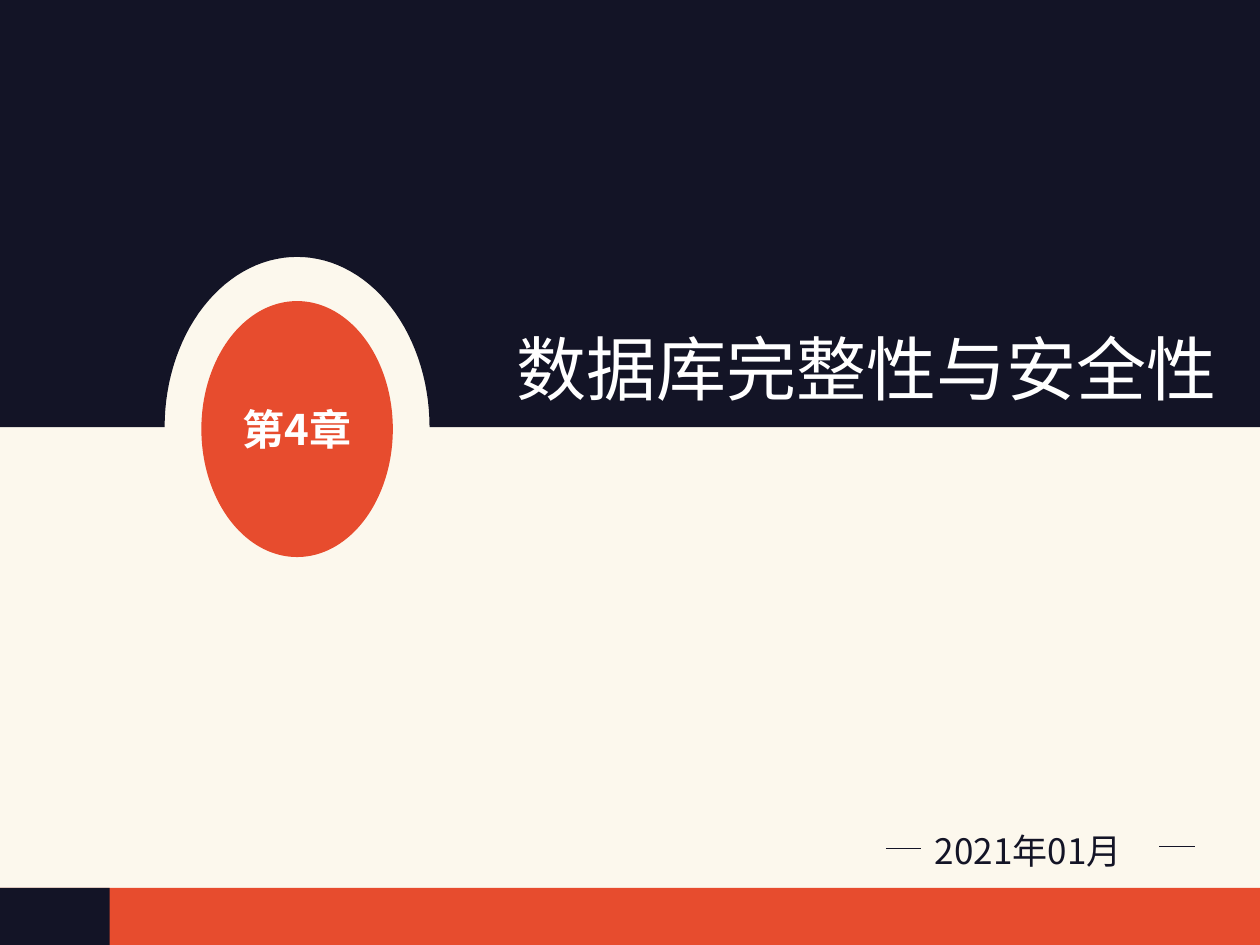
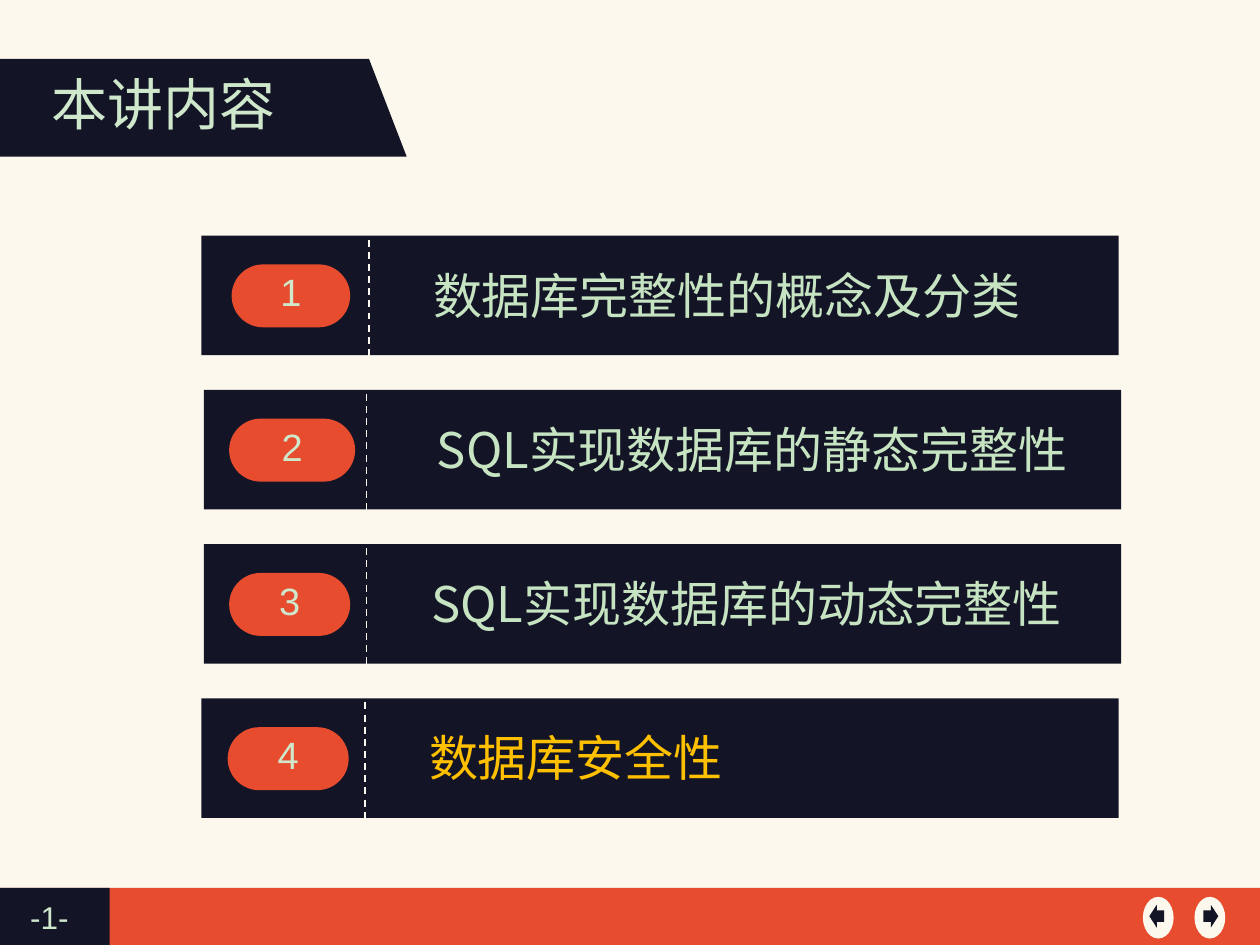
from math import cos, pi, sin

from pptx import Presentation
from pptx.dml.color import RGBColor
from pptx.enum.dml import MSO_LINE
from pptx.enum.shapes import MSO_CONNECTOR, MSO_SHAPE as Kind
from pptx.enum.text import MSO_ANCHOR as Anchor, MSO_AUTO_SIZE as Fit, PP_ALIGN as Align
from pptx.oxml.xmlchemy import OxmlElement as Node
from pptx.util import Cm, Pt

WIDE, HIGH = 25.4, 19.05
CREAM, NAVY, RED = "FCF8ED", "131426", "E74C2E"
MINT, LEAF, GOLD, WHITE = "CFE8CC", "C6E4C2", "FFC000", "FFFFFF"
HAN, LATIN = "Noto Sans CJK SC", "Arial"
FOOT = (0, 17.9, WIDE, 1.15)

ROWS = [
    ("1", "数据库完整性的概念及分类", LEAF, 4.06, 0.61, 2.39, 3.38, 4.42),
    ("2", "SQL实现数据库的静态完整性", LEAF, 4.11, 0.51, 2.54, 3.28, 4.45),
    ("3", "SQL实现数据库的动态完整性", LEAF, 4.11, 0.51, 2.44, 3.28, 4.34),
    ("4", "数据库安全性", GOLD, 4.06, 0.53, 2.44, 3.3, 4.34),
]


def tint(code):
    return RGBColor.from_string(code)


def write(shape, text, size, color, font=HAN, align=Align.LEFT,
          anchor=Anchor.TOP, bold=False, space=1.0):
    frame = shape.text_frame
    frame.word_wrap = True
    frame.auto_size = Fit.NONE
    frame.vertical_anchor = anchor
    para = frame.paragraphs[0]
    para.alignment = align
    para.line_spacing = space
    para.space_before = Pt(0)
    run = para.add_run()
    run.text = text
    run.font.size = Pt(size)
    run.font.bold = bold
    run.font.color.rgb = tint(color)
    run.font.name = font
    east = Node("a:ea")
    east.set("typeface", font)
    run.font._element.append(east)


def paint(shape, color):
    shape.shadow.inherit = False
    shape.fill.solid()
    shape.fill.fore_color.rgb = tint(color)
    shape.line.fill.background()
    return shape


def block(slide, kind, box, color):
    return paint(slide.shapes.add_shape(kind, *map(Cm, box)), color)


def label(slide, box, *args, **style):
    write(slide.shapes.add_textbox(*map(Cm, box)), *args, **style)


def rule(slide, start, end, color, width, dash=None):
    line = slide.shapes.add_connector(MSO_CONNECTOR.STRAIGHT, *map(Cm, start + end))
    line.line.color.rgb = tint(color)
    line.line.width = Pt(width)
    if dash:
        line.line.dash_style = dash
    line._element.spPr.append(Node("a:effectLst"))


def place(holder, box, *args, **style):
    holder.left, holder.top, holder.width, holder.height = map(Cm, box)
    holder.element.getparent().append(holder.element)
    write(holder, *args, **style)


def base(deck, layout):
    slide = deck.slides.add_slide(deck.slide_layouts[layout])
    slide.background.fill.solid()
    slide.background.fill.fore_color.rgb = tint(CREAM)
    left, top, width, height = FOOT
    block(slide, Kind.RECTANGLE, FOOT, RED)
    block(slide, Kind.RECTANGLE, (left, top, 2.21, height), NAVY)
    return slide


def arch(slide, box):
    left, top, width, height = box
    base_y, mid = top + height, left + 5.99
    steps = 60
    curve = [(mid + 2.67 * cos(pi * i / steps), base_y - 3.43 * sin(pi * i / steps))
             for i in range(steps + 1)]
    points = [(left + width, top), (left + width, base_y), *curve, (left, base_y)]
    path = slide.shapes.build_freeform(Cm(left), Cm(top))
    path.add_line_segments([(Cm(x), Cm(y)) for x, y in points])
    paint(path.convert_to_shape(), NAVY)
    badge = block(slide, Kind.OVAL, (mid - 1.93, base_y - 2.54, 3.86, 5.16), RED)
    write(badge, "第4章", 24, WHITE, align=Align.CENTER, anchor=Anchor.MIDDLE, bold=True)


def date(slide, box):
    left, top, width, height = box
    place(slide.placeholders[1], (left + 0.73, top, 5.08, height), "2021年01月", 20, NAVY)
    for start, drop in ((left, 0.51), (left + width - 0.71, 0.48)):
        rule(slide, (start, top + drop), (start + 0.71, top + drop), NAVY, 0.5)


def cover(deck):
    slide = base(deck, 0)
    arch(slide, (0, 0, WIDE, 8.61))
    date(slide, (17.86, 16.59, 6.22, 1.3))
    place(slide.shapes.title, (9.53, 6.43, 15.87, 1.96), "数据库完整性与安全性",
          40, WHITE, align=Align.CENTER)


def head(slide, box, text):
    left, top, width, height = box
    tip = 0.76
    flat = width - tip
    block(slide, Kind.RECTANGLE, (left, top, flat, height), NAVY)
    block(slide, Kind.RIGHT_TRIANGLE, (left + flat, top, tip, height), NAVY)
    place(slide.shapes.title, (left + 0.51, top + 0.08, 5.59, 1.63), text,
          32, MINT, align=Align.CENTER)


def entry(slide, box, num, text, color, inset, size, split, indent):
    left, top, width, height = box
    block(slide, Kind.RECTANGLE, box, NAVY)
    edge = left + split
    rule(slide, (edge, top + 0.08), (edge, top + 2.53), CREAM, 1, MSO_LINE.DASH)
    pill = block(slide, Kind.ROUNDED_RECTANGLE, (left + inset, top + 0.58, size, 1.27), RED)
    pill.adjustments[0] = 0.5
    write(pill, num, 21.7, MINT, LATIN, Align.CENTER, Anchor.MIDDLE, space=0.8)
    label(slide, (left + indent, top + 0.47, 13.87, 1.45), text, 28, color)


def pager(slide, box):
    left, top, width, height = box
    label(slide, (left + 0.36, top + 0.08, 1.63, 1.02), "-1-", 18, MINT, LATIN)
    for start, inset, kind in ((23.04, 0.13, Kind.LEFT_ARROW), (24.08, 0.18, Kind.RIGHT_ARROW)):
        block(slide, Kind.OVAL, (left + start, top + 0.18, 0.62, 0.84), CREAM)
        block(slide, kind, (left + start + inset, top + 0.34, 0.3, 0.46), NAVY)


def agenda(deck):
    slide = base(deck, 5)
    head(slide, (0, 1.19, 8.2, 1.97), "本讲内容")
    for i, (num, text, color, left, *gaps) in enumerate(ROWS):
        entry(slide, (left, 4.75 + 3.11 * i, 18.49, 2.41), num, text, color, *gaps)
    pager(slide, FOOT)


def main():
    deck = Presentation()
    deck.slide_width, deck.slide_height = Cm(WIDE), Cm(HIGH)
    cover(deck)
    agenda(deck)
    deck.save("out.pptx")


if __name__ == "__main__":
    main()
